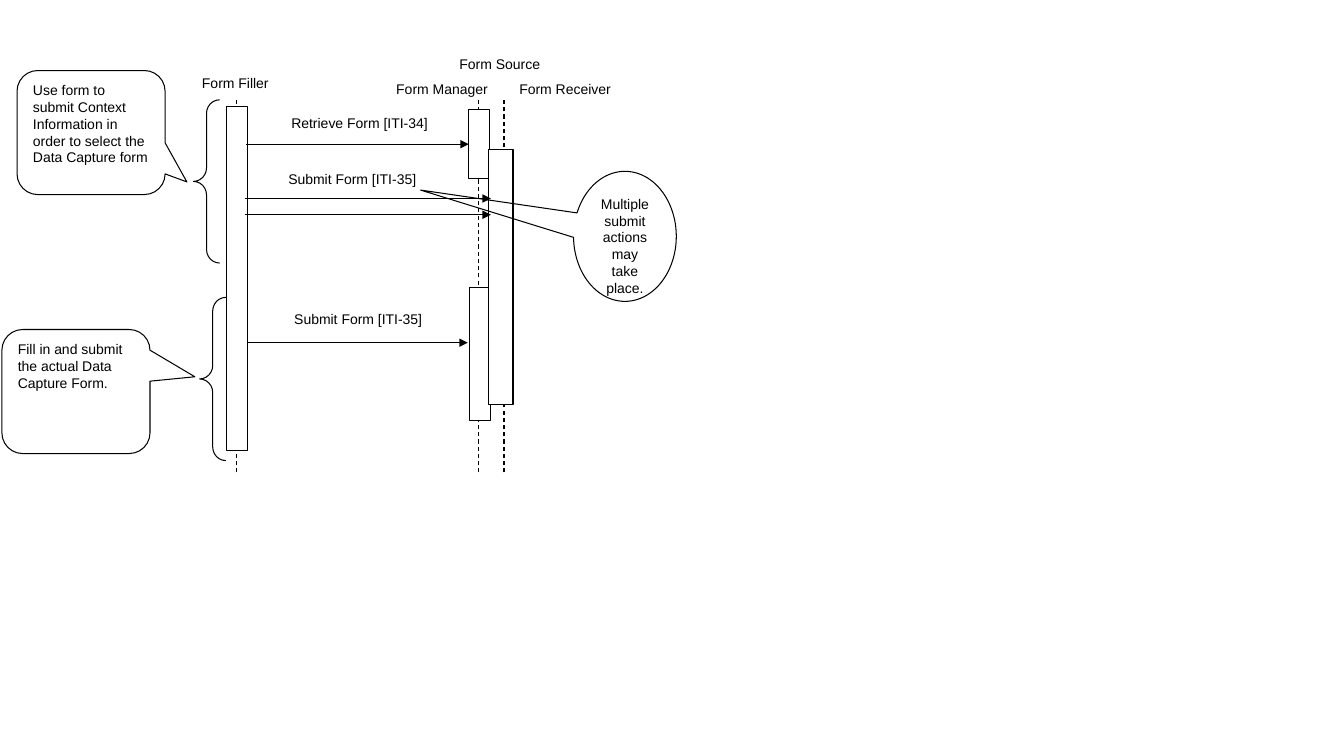
from dataclasses import dataclass

from lxml.etree import SubElement
from pptx import Presentation
from pptx.dml.color import RGBColor
from pptx.enum.dml import MSO_LINE
from pptx.enum.shapes import MSO_CONNECTOR, MSO_SHAPE as Preset
from pptx.enum.text import MSO_ANCHOR as Anchor, PP_ALIGN as Align
from pptx.oxml.ns import qn
from pptx.util import Pt


@dataclass
class Theme:
    ink: RGBColor = RGBColor(0, 0, 0)
    paper: RGBColor = RGBColor(255, 255, 255)
    font: str = "Arial"
    text_size: float = 10
    line_width: float = 0.75


theme = Theme()
presentation = Presentation()
presentation.slide_width = Pt(960)
presentation.slide_height = Pt(540)
slide = presentation.slides.add_slide(presentation.slide_layouts[6])


def add_box(preset, box, text="", align=Align.LEFT, inset=True, filled=True, outlined=True, adjust=()):
    shape = slide.shapes.add_shape(preset, *[Pt(length) for length in box])
    shape.shadow.inherit = False
    for index, value in enumerate(adjust):
        shape.adjustments[index] = value
    if filled:
        shape.fill.solid()
        shape.fill.fore_color.rgb = theme.paper
    else:
        shape.fill.background()
    if outlined:
        shape.line.color.rgb = theme.ink
        shape.line.width = Pt(theme.line_width)
    else:
        shape.line.fill.background()
    if text:
        frame = shape.text_frame
        frame.word_wrap = True
        frame.vertical_anchor = Anchor.TOP
        if not inset:
            frame.margin_left = frame.margin_right = frame.margin_top = frame.margin_bottom = 0
        paragraph = frame.paragraphs[0]
        paragraph.alignment = align
        run = paragraph.add_run()
        run.text = text
        run.font.name = theme.font
        run.font.size = Pt(theme.text_size)
        run.font.color.rgb = theme.ink
    return shape


def add_line(left, top, right, bottom):
    line = slide.shapes.add_connector(MSO_CONNECTOR.STRAIGHT, Pt(left), Pt(top), Pt(right), Pt(bottom))
    line.line.color.rgb = theme.ink
    line.line.width = Pt(theme.line_width)
    SubElement(line._element.spPr, qn("a:effectLst"))
    return line


for text, left, top in [
    ("Form Filler", 131, 53.3),
    ("Form Manager", 278.6, 57.6),
    ("Form Receiver", 366.5, 57.6),
]:
    add_box(Preset.RECTANGLE, (left, top, 74.2, 25.2), text, Align.CENTER, inset=False, outlined=False)

for center in (168.8, 342, 360):
    lifeline = add_line(center, 337.5, center, 71.3)
    lifeline.line.dash_style = MSO_LINE.DASH

filler_bar, retrieve_bar, submit_bar, receiver_bar = [
    add_box(Preset.RECTANGLE, box)
    for box in [
        (162, 76.3, 15.1, 245.5),
        (334.8, 78.5, 15.1, 49),
        (335.5, 205.2, 15.1, 95),
        (349.2, 106.6, 17.3, 182.2),
    ]
]

for text, left, top, width in [
    ("Retrieve Form [ITI-34]", 208.1, 82.1, 103.7),
    ("Submit Form [ITI-35]", 205.9, 121.7, 95),
    ("Submit Form [ITI-35]", 210.2, 221.8, 91.4),
]:
    add_box(Preset.RECTANGLE, (left, top, width, 17.3), text, inset=False, outlined=False)

for left, right, height, target in [
    (175.7, 334.8, 103, retrieve_bar),
    (175, 350.6, 141.8, None),
    (175, 350.6, 153.4, None),
    (177.1, 334.1, 244.8, None),
]:
    arrow = add_line(left, height, right, height)
    if target:
        arrow.end_connect(target, 1)
    SubElement(arrow.line._get_or_add_ln(), qn("a:tailEnd"), type="triangle")

for left, top in [(138.2, 71.3), (142.6, 212.4)]:
    add_box(Preset.LEFT_BRACE, (left, top, 18.7, 116.6), filled=False, adjust=(0.52, 0.5))

for text, left, top, pointer in [
    ("Use form to submit Context Information in order to select the Data Capture form", 12.2, 50.4, (0.647, 0.398)),
    ("Fill in and submit the actual Data Capture Form.", 1.4, 235.4, (0.803, -0.119)),
]:
    add_box(Preset.ROUNDED_RECTANGULAR_CALLOUT, (left, top, 105.8, 88.6), text, adjust=(*pointer, 0.167))

add_box(
    Preset.OVAL_CALLOUT,
    (409.7, 122.4, 73.4, 92.9),
    "Multiple submit actions may take place.",
    Align.CENTER,
    filled=False,
    adjust=(-1.99, -0.356),
)
add_box(Preset.RECTANGLE, (321.1, 36, 88.6, 23), "Form Source", filled=False, outlined=False)

presentation.save("out.pptx")
